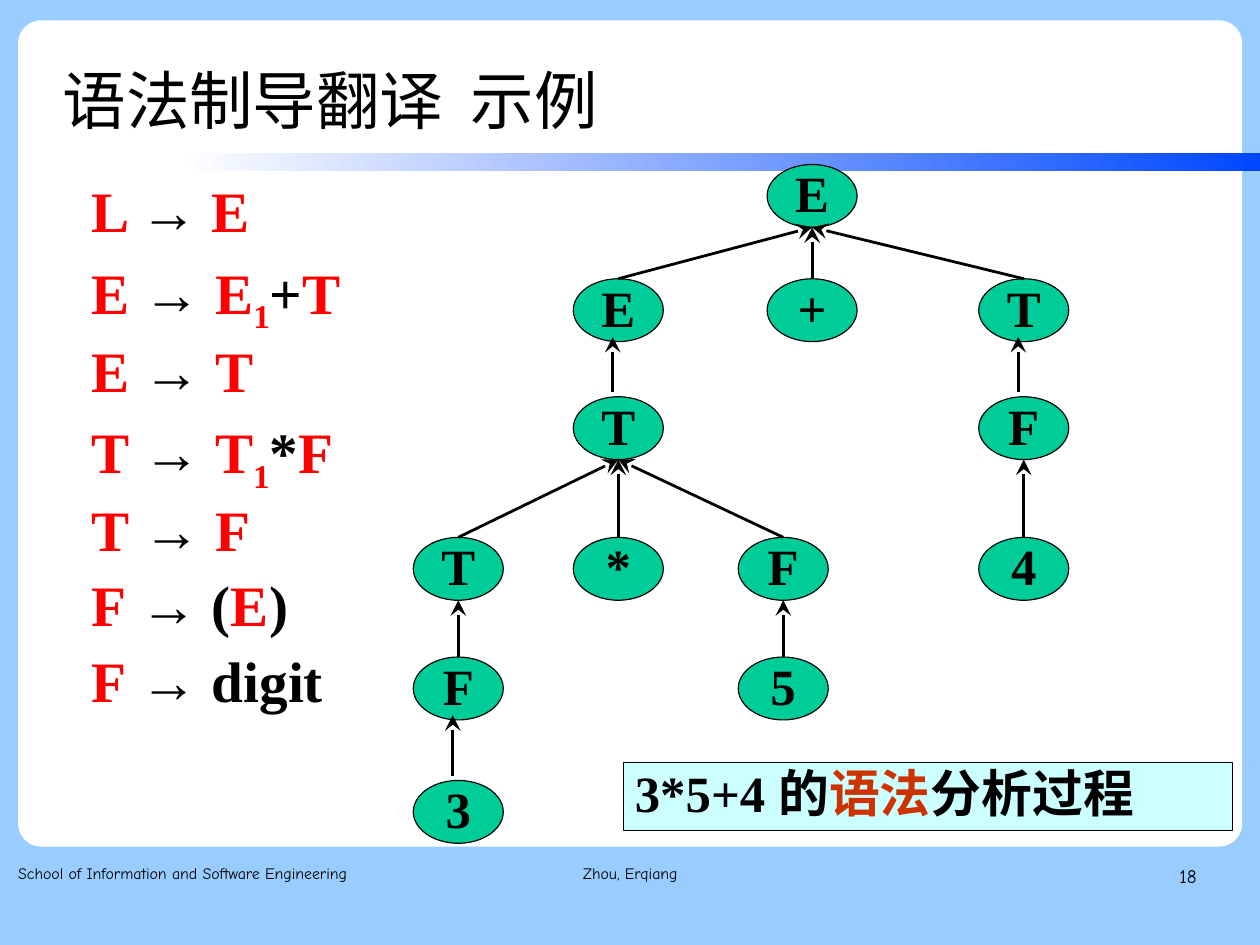
from dataclasses import dataclass
from typing import NamedTuple

from lxml.etree import SubElement as Sub
from pptx import Presentation
from pptx.dml.color import RGBColor as Rgb
from pptx.enum.shapes import MSO_CONNECTOR as Link, MSO_SHAPE as Form
from pptx.enum.text import MSO_ANCHOR as Anchor, PP_ALIGN as Align
from pptx.oxml.ns import qn
from pptx.util import Pt


@dataclass(frozen=True)
class Theme:
    sky: str = "99CCFF"
    white: str = "FFFFFF"
    blue: str = "0047FF"
    black: str = "000000"
    red: str = "FF0000"
    rust: str = "CC3300"
    green: str = "00CC99"
    pale: str = "CCFFFF"
    sans: str = "Arial"
    serif: str = "Times New Roman"
    hand: str = "Comic Neue"
    han: str = "Noto Sans CJK SC"
    title: int = 40
    rule: int = 36
    node: int = 32
    page: int = 12
    foot: int = 10


class Box(NamedTuple):
    x: float
    y: float
    w: float
    h: float

    def pts(self):
        return [Pt(n) for n in self]


T = Theme()
WIDE, HIGH = 793.7, 595.28
RULES = ("L |→ |E", "E |→ |E|1|+|T", "E| → |T", "T| → |T|1|*|F",
         "T| → |F", "F| → (|E|)", "F| → digit")
COLS = (29, 129.8, 233.7, 251.9, 385.2)
ROWS = (0, 72, 146.3, 234.9, 310.3, 388)
NODES = (
    ("E", 3, 0, None, False),
    ("E", 1, 1, 0, False),
    ("+", 3, 1, 0, False),
    ("T", 4, 1, 0, False),
    ("T", 1, 2, 1, True),
    ("F", 4, 2, 3, True),
    ("4", 4, 3, 5, False),
    ("T", 0, 3, 4, False),
    ("*", 1, 3, 4, False),
    ("F", 2, 3, 4, False),
    ("F", 0, 4, 7, False),
    ("5", 2, 4, 9, False),
    ("3", 0, 5, 10, True),
)


def write(shape, *paras, size, face=T.serif, color=T.black, bold=False,
          align=Align.LEFT, anchor=Anchor.TOP, lead=0.93, gap=0,
          inset=(0, 0, 0, 0), wrap=True):
    frame = shape.text_frame
    frame.word_wrap = wrap
    frame.vertical_anchor = anchor
    (frame.margin_left, frame.margin_top,
     frame.margin_right, frame.margin_bottom) = [Pt(n) for n in inset]
    for i, runs in enumerate(paras):
        para = frame.add_paragraph() if i else frame.paragraphs[0]
        para.alignment = align
        para.line_spacing = lead
        para.space_before = Pt(gap if i else 0)
        for text, look in ([(runs, {})] if isinstance(runs, str) else runs):
            run = para.add_run()
            run.text = text
            font = run.font
            font.size = Pt(size)
            font.bold = bold
            font.name = look.get("face", face)
            font.color.rgb = Rgb.from_string(look.get("color", color))
            props = run._r.get_or_add_rPr()
            Sub(props, qn("a:ea")).set("typeface", T.han)
            for key in ("baseline", "spc"):
                if key in look:
                    props.set(key, str(look[key]))


def label(slide, box, *paras, **look):
    write(slide.shapes.add_textbox(*box.pts()), *paras, **look)


def block(slide, form, box, fill, line=None):
    shape = slide.shapes.add_shape(form, *box.pts())
    shape.shadow.inherit = False
    shape.fill.solid()
    shape.fill.fore_color.rgb = Rgb.from_string(fill)
    if line:
        shape.line.color.rgb = Rgb.from_string(T.black)
        shape.line.width = Pt(line)
    else:
        shape.line.fill.background()
    return shape


def arrow(slide, *ends):
    link = slide.shapes.add_connector(Link.STRAIGHT, *[Pt(n) for n in ends])
    link.line.color.rgb = Rgb.from_string(T.black)
    link.line.width = Pt(1.75)
    head = Sub(link.line._get_or_add_ln(), qn("a:tailEnd"))
    for key, value in (("type", "stealth"), ("w", "lg"), ("len", "lg")):
        head.set(key, value)
    Sub(link._element.spPr, qn("a:effectLst"))


def frame(slide, box):
    slide.background.fill.solid()
    slide.background.fill.fore_color.rgb = Rgb.from_string(T.sky)
    card = Box(box.x + 11.4, box.y + 12.8, box.w - 22.6, 520.5)
    block(slide, Form.ROUNDED_RECTANGLE, card, T.white).adjustments[0] = 0.028
    bar = block(slide, Form.RECTANGLE,
                Box(box.x + 113, box.y + 96.5, box.w - 113, 11.5), T.white)
    bar.fill.gradient()
    bar.fill.gradient_angle = 0
    for stop, tint, spot in zip(bar.fill.gradient_stops, (T.white, T.blue), (0, 1)):
        stop.color.rgb = Rgb.from_string(tint)
        stop.position = spot


def footer(slide, box):
    parts = (
        (0, 243.5, "School of Information and Software Engineering", Align.LEFT, T.foot),
        (260, 251, "Zhou, Erqiang", Align.CENTER, T.foot),
        (557.3, 185, "18", Align.RIGHT, T.page),
    )
    for x, w, text, align, size in parts:
        label(slide, Box(box.x + x, box.y, w, box.h), text,
              size=size, face=T.hand, align=align, lead=1.16)


def style(part):
    if part.isdigit():
        return {"color": T.red, "baseline": -25000}
    return {"color": T.red} if part.isupper() else {}


def grammar(slide, box):
    lines = [[(part, style(part)) for part in rule.split("|")] for rule in RULES]
    label(slide, box, *lines, size=T.rule, bold=True, gap=7.25, inset=(0, 1.4, 0, 0))


def tree(slide, box):
    wide, high = 56.7, 39.6
    spots = [(box.x + COLS[col], box.y + ROWS[row]) for _, col, row, _, _ in NODES]
    for (text, *_), (x, y) in zip(NODES, spots):
        oval = block(slide, Form.OVAL, Box(x - wide / 2, y, wide, high), T.green, 0.75)
        write(oval, text, size=T.node, bold=True, align=Align.CENTER,
              anchor=Anchor.MIDDLE, wrap=False)
    for (*_, up, shift), (x, y) in zip(NODES, spots):
        if up is not None:
            dx, dy = (-3.5, -3) if shift else (0, 0)
            top, base = spots[up]
            arrow(slide, x + dx, y + dy, top + dx, base + high + dy)


def caption(slide, box):
    han = {"face": T.han}
    write(block(slide, Form.RECTANGLE, box, T.pale, 0.25),
          [("3*5+4 ", {}), ("的", han), ("语法", han | {"color": T.rust}),
           ("分析过程", han)],
          size=T.node, bold=True, inset=(7.2, 3.6, 7.2, 3.6))


def main():
    deck = Presentation()
    deck.slide_width, deck.slide_height = Pt(WIDE), Pt(HIGH)
    slide = deck.slides.add_slide(deck.slide_layouts[6])
    frame(slide, Box(0, 0, WIDE, HIGH))
    label(slide, Box(39.5, 24, 618, 72.5),
          [("语法制导翻译", {}), (" ", {"spc": 850}), ("示例", {})],
          size=T.title, face=T.sans, anchor=Anchor.MIDDLE, lead=1.1)
    footer(slide, Box(11.5, 542, 742.5, 41))
    tree(slide, Box(259.7, 103.6, 414, 428))
    grammar(slide, Box(57.5, 113.2, 187, 397))
    caption(slide, Box(392.8, 480, 383.5, 42.8))
    deck.save("out.pptx")


if __name__ == "__main__":
    main()
